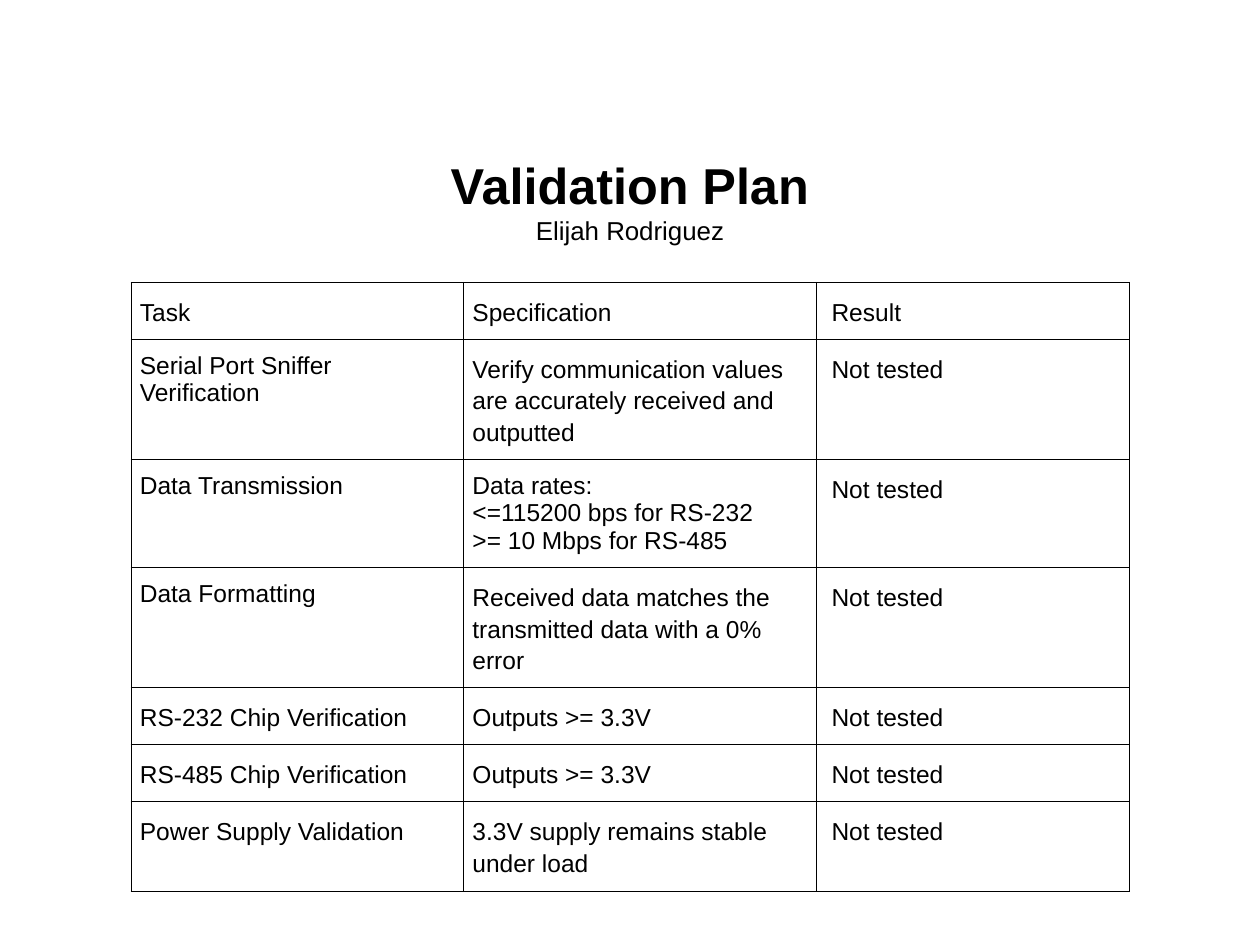
from dataclasses import dataclass

from lxml import etree
from pptx import Presentation
from pptx.dml.color import RGBColor
from pptx.enum.text import MSO_ANCHOR, MSO_AUTO_SIZE, PP_ALIGN
from pptx.oxml.ns import qn
from pptx.util import Inches, Pt

CENTER, LEFT = PP_ALIGN.CENTER, PP_ALIGN.LEFT
MIDDLE, TOP = MSO_ANCHOR.MIDDLE, MSO_ANCHOR.TOP
NO_AUTOFIT = MSO_AUTO_SIZE.NONE
TITLE_ONLY = 5
WIDTH, HEIGHT = Inches(10), Inches(7.5)


@dataclass(frozen=True)
class Theme:
    font: str = "Arial"
    ink: str = "000000"
    title: float = 28.8
    subtitle: float = 14.8
    body: float = 14
    border: float = 0.6
    loose: float = 1.15


THEME = Theme()
COLUMN_WIDTHS = (2.64, 2.8, 2.48)
ROW_HEIGHTS = (0.45, 0.95, 0.86, 0.95, 0.45, 0.45, 0.71)
LEFT_INSETS = (0.07, 0.07, 0.12)
SINGLE_SPACED = {(1, 0), (2, 0), (2, 1), (3, 0)}
UNTESTED = "Not tested"
PLAN = (
    ("Task", "Specification", "Result"),
    ("Serial Port Sniffer Verification",
     "Verify communication values are accurately received and outputted", UNTESTED),
    ("Data Transmission",
     "Data rates:\n<=115200 bps for RS-232\n>= 10 Mbps for RS-485", UNTESTED),
    ("Data Formatting",
     "Received data matches the transmitted data with a 0% error", UNTESTED),
    ("RS-232 Chip Verification", "Outputs >= 3.3V", UNTESTED),
    ("RS-485 Chip Verification", "Outputs >= 3.3V", UNTESTED),
    ("Power Supply Validation", "3.3V supply remains stable under load", UNTESTED),
)


def apply_format(target, values):
    for name, value in values.items():
        setattr(target, name, value)


def format_paragraph(paragraph, size, bold=False, alignment=LEFT, spacing=1.0):
    apply_format(paragraph, {"alignment": alignment, "line_spacing": spacing,
                             "space_before": Pt(0), "space_after": Pt(0)})
    for run in paragraph.runs:
        apply_format(run.font, {"name": THEME.font, "size": Pt(size), "bold": bold})
        run.font.color.rgb = RGBColor.from_string(THEME.ink)


def add_borders(cell):
    properties = cell._tc.get_or_add_tcPr()
    for side in ("lnL", "lnR", "lnT", "lnB"):
        line = etree.SubElement(properties, qn(f"a:{side}"), w=str(Pt(THEME.border)))
        fill = etree.SubElement(line, qn("a:solidFill"))
        etree.SubElement(fill, qn("a:srgbClr"), val=THEME.ink)


def place_title(slide, box):
    title = slide.shapes.title
    apply_format(title, dict(zip(("left", "top", "width", "height"), box)))
    frame = title.text_frame
    apply_format(frame, {
        "word_wrap": True, "auto_size": NO_AUTOFIT, "vertical_anchor": MIDDLE,
        "margin_left": Inches(0.1), "margin_right": Inches(0.1),
        "margin_top": Inches(0.05), "margin_bottom": Inches(0.05)})
    frame.text = "Validation Plan\nElijah Rodriguez"
    heading, author = frame.paragraphs
    format_paragraph(heading, THEME.title, bold=True, alignment=CENTER)
    format_paragraph(author, THEME.subtitle, alignment=CENTER)


def fill_cell(cell, text, left_inset, spacing):
    cell.text = text
    apply_format(cell, {
        "margin_left": Inches(left_inset), "margin_right": Inches(0.07),
        "margin_top": Inches(0.1), "margin_bottom": Inches(0.1),
        "vertical_anchor": TOP})
    add_borders(cell)
    cell.fill.background()
    for paragraph in cell.text_frame.paragraphs:
        format_paragraph(paragraph, THEME.body, spacing=spacing)


def place_plan(slide, box):
    table = slide.shapes.add_table(len(PLAN), len(COLUMN_WIDTHS), *box).table
    apply_format(table, {"first_row": False, "horz_banding": False})
    for column, share in zip(table.columns, COLUMN_WIDTHS):
        column.width = int(box[2] * share / sum(COLUMN_WIDTHS))
    for row, share in zip(table.rows, ROW_HEIGHTS):
        row.height = int(box[3] * share / sum(ROW_HEIGHTS))
    for row_index, texts in enumerate(PLAN):
        for column_index, text in enumerate(texts):
            position = (row_index, column_index)
            spacing = 1.0 if position in SINGLE_SPACED else THEME.loose
            fill_cell(table.cell(*position), text, LEFT_INSETS[column_index], spacing)


def main():
    presentation = Presentation()
    apply_format(presentation, {"slide_width": WIDTH, "slide_height": HEIGHT})
    slide = presentation.slides.add_slide(presentation.slide_layouts[TITLE_ONLY])
    place_title(slide, (Inches(0.5), Inches(1.15), int(WIDTH * 0.9), Inches(0.88)))
    place_plan(slide, (Inches(1.04), Inches(2.24),
                       Inches(sum(COLUMN_WIDTHS)), Inches(sum(ROW_HEIGHTS))))
    presentation.save("out.pptx")


if __name__ == "__main__":
    main()
